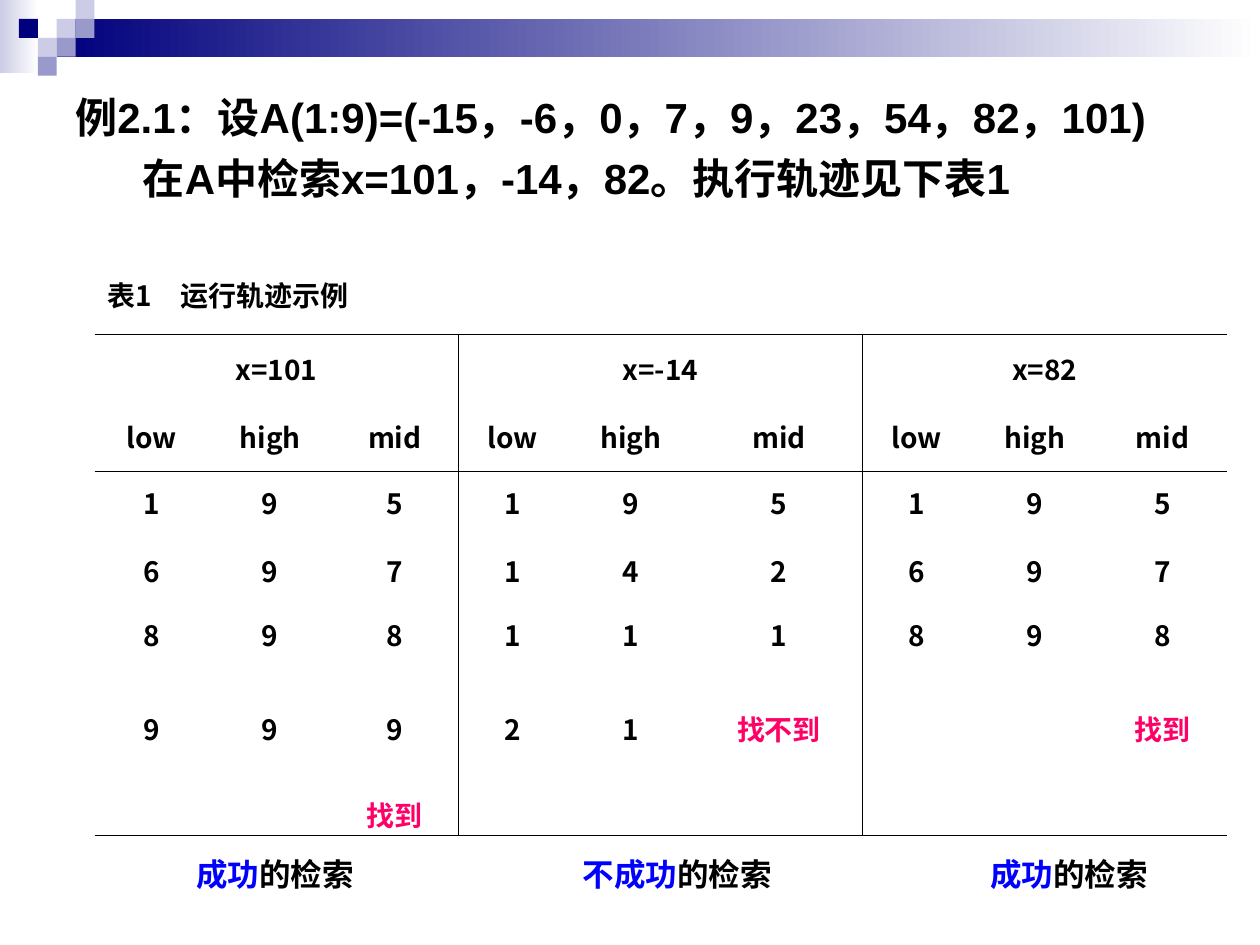
"""Build the slide that traces three binary searches in a table."""
from lxml.etree import SubElement
from pptx import Presentation
from pptx.dml.color import RGBColor
from pptx.enum.shapes import MSO_SHAPE as Shape
from pptx.enum.text import MSO_ANCHOR as Anchor, MSO_AUTO_SIZE as AutoSize, PP_ALIGN as Align
from pptx.oxml.ns import qn
from pptx.util import Pt

BLACK = RGBColor(0x00, 0x00, 0x00)
WHITE = RGBColor(0xFF, 0xFF, 0xFF)
NAVY = RGBColor(0x00, 0x00, 0x7D)
LILAC = RGBColor(0xCC, 0xCC, 0xE6)
VIOLET = RGBColor(0x99, 0x99, 0xCC)
BLUE = RGBColor(0x00, 0x00, 0xFF)
PINK = RGBColor(0xFF, 0x00, 0x66)
CJK = "Noto Sans CJK SC"
STEP = 10.8


def add_block(left, top, width, height):
    block = page.shapes.add_shape(Shape.RECTANGLE, Pt(left), Pt(top), Pt(width), Pt(height))
    block.shadow.inherit = False
    block.line.fill.background()
    return block


def style(span, size, face, color):
    span.font.size = Pt(size)
    span.font.bold = True
    span.font.name = face
    span.font.color.rgb = color
    SubElement(span.font._element, qn("a:ea"), typeface=face)


deck = Presentation()
deck.slide_width, deck.slide_height = Pt(720), Pt(540)
page = deck.slides.add_slide(deck.slide_layouts[6])

for left, top, width, height, color in [
    (0, 0, 22, 42, LILAC),
    (3 * STEP, STEP, 687.6, 2 * STEP, NAVY),
]:
    band = add_block(left, top, width, height)
    band.fill.gradient()
    band.fill.gradient_angle = 180
    for stop, stop_color in zip(band.fill.gradient_stops, (WHITE, color)):
        stop.color.rgb = stop_color

for column, row, color in [
    (3, 1, LILAC), (4, 0, LILAC), (4, 1, VIOLET), (2, 2, LILAC),
    (1, 1, NAVY), (3, 2, VIOLET), (2, 3, VIOLET),
]:
    square = add_block(column * STEP, row * STEP, STEP, STEP)
    square.fill.solid()
    square.fill.fore_color.rgb = color

example = page.shapes.add_textbox(Pt(36), Pt(49), Pt(664.5), Pt(113)).text_frame
example.word_wrap = True
example.text = "例2.1：设A(1:9)=(-15，-6，0，7，9，23，54，82，101)\n在A中检索x=101，-14，82。执行轨迹见下表1"
for para, indent in zip(example.paragraphs, (-27, 11.5)):
    properties = para._p.get_or_add_pPr()
    properties.set("marL", str(Pt(27)))
    properties.set("indent", str(Pt(indent)))
    style(para.runs[0], 24, "Arial", BLACK)
example.paragraphs[1].space_before = Pt(6)

widths = [65.5, 69.8, 72.7, 61.9, 73.4, 95.8, 61.9, 72.7, 73.4]
heights = [45.4, 38.9, 39.6, 38.9, 38.9, 33.8, 73.4, 23]
rows = [
    ["表1\t运行轨迹示例"] + [""] * 8,
    ["x=101", "", "", "x=-14", "", "", "x=82", "", ""],
    ["low", "high", "mid"] * 3,
    ["1", "9", "5"] * 3,
    ["6", "9", "7", "1", "4", "2", "6", "9", "7"],
    ["8", "9", "8", "1", "1", "1", "8", "9", "8"],
    ["9", "9", "9", "2", "1", "找不到", "", "", "找到"],
    ["", "", "找到"] + [""] * 6,
]
table = page.shapes.add_table(
    len(rows), len(widths), Pt(54), Pt(145.4), Pt(sum(widths)), Pt(sum(heights))
).table
table.first_row = table.horz_banding = False
for column, width in zip(table.columns, widths):
    column.width = Pt(width)
for row, height in zip(table.rows, heights):
    row.height = Pt(height)
table.cell(0, 0).merge(table.cell(0, 8))
for first in (0, 3, 6):
    table.cell(1, first).merge(table.cell(1, first + 2))

for r, words in enumerate(rows):
    for c, word in enumerate(words):
        cell = table.cell(r, c)
        cell.vertical_anchor = Anchor.MIDDLE
        edges = {
            "lnL": r > 0 and c in (3, 6),
            "lnR": r > 0 and (c in (2, 5) or r == 1 and c in (0, 3)),
            "lnT": r in (1, 3),
            "lnB": r in (0, 2, 7),
        }
        for edge, shown in edges.items():
            line = SubElement(cell._tc.get_or_add_tcPr(), qn(f"a:{edge}"), w=str(Pt(0.45)))
            if shown:
                fill = SubElement(line, qn("a:solidFill"))
                SubElement(fill, qn("a:srgbClr"), val=str(BLACK))
            else:
                SubElement(line, qn("a:noFill"))
        cell.fill.background()
        para = cell.text_frame.paragraphs[0]
        if not word:
            SubElement(para._p, qn("a:endParaRPr"), sz="800")
            continue
        para.text = word
        if r == 0:
            tabs = SubElement(para._p.get_or_add_pPr(), qn("a:tabLst"))
            SubElement(tabs, qn("a:tab"), pos=str(Pt(42)), algn="l")
        else:
            para.alignment = Align.CENTER
        if r > 2:
            para.line_spacing = 0.8
        style(para.runs[0], 16, CJK, PINK if word.startswith("找") else BLACK)

for left, width, result in [(105, 113, "成功"), (326, 130.5, "不成功"), (558.7, 113, "成功")]:
    caption = page.shapes.add_textbox(Pt(left), Pt(485.3), Pt(width), Pt(28.8)).text_frame
    caption.word_wrap = True
    caption.auto_size = AutoSize.SHAPE_TO_FIT_TEXT
    para = caption.paragraphs[0]
    for words, color in ((result, BLUE), ("的检索", BLACK)):
        span = para.add_run()
        span.text = words
        style(span, 18, "Arial", color)

deck.save("out.pptx")
